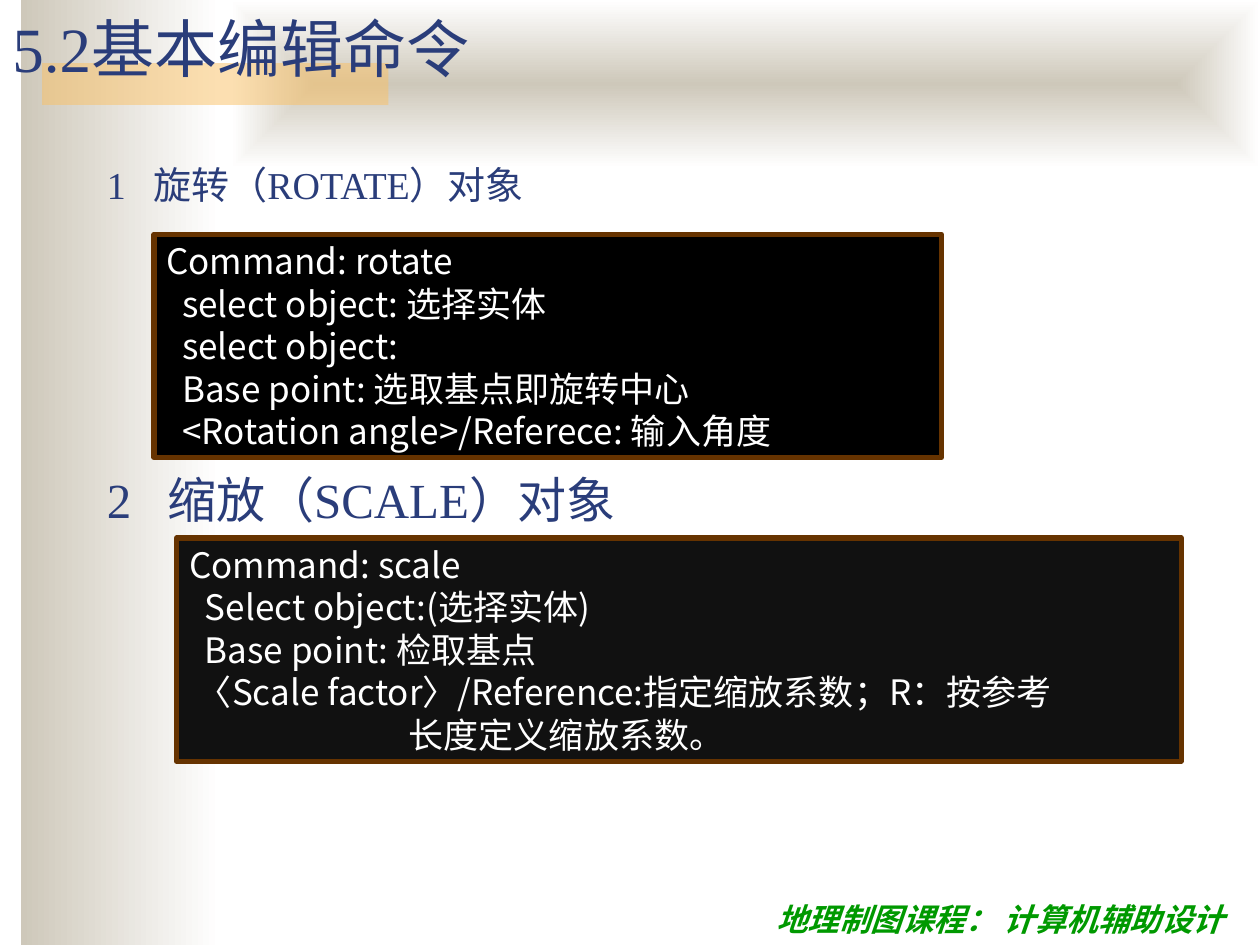
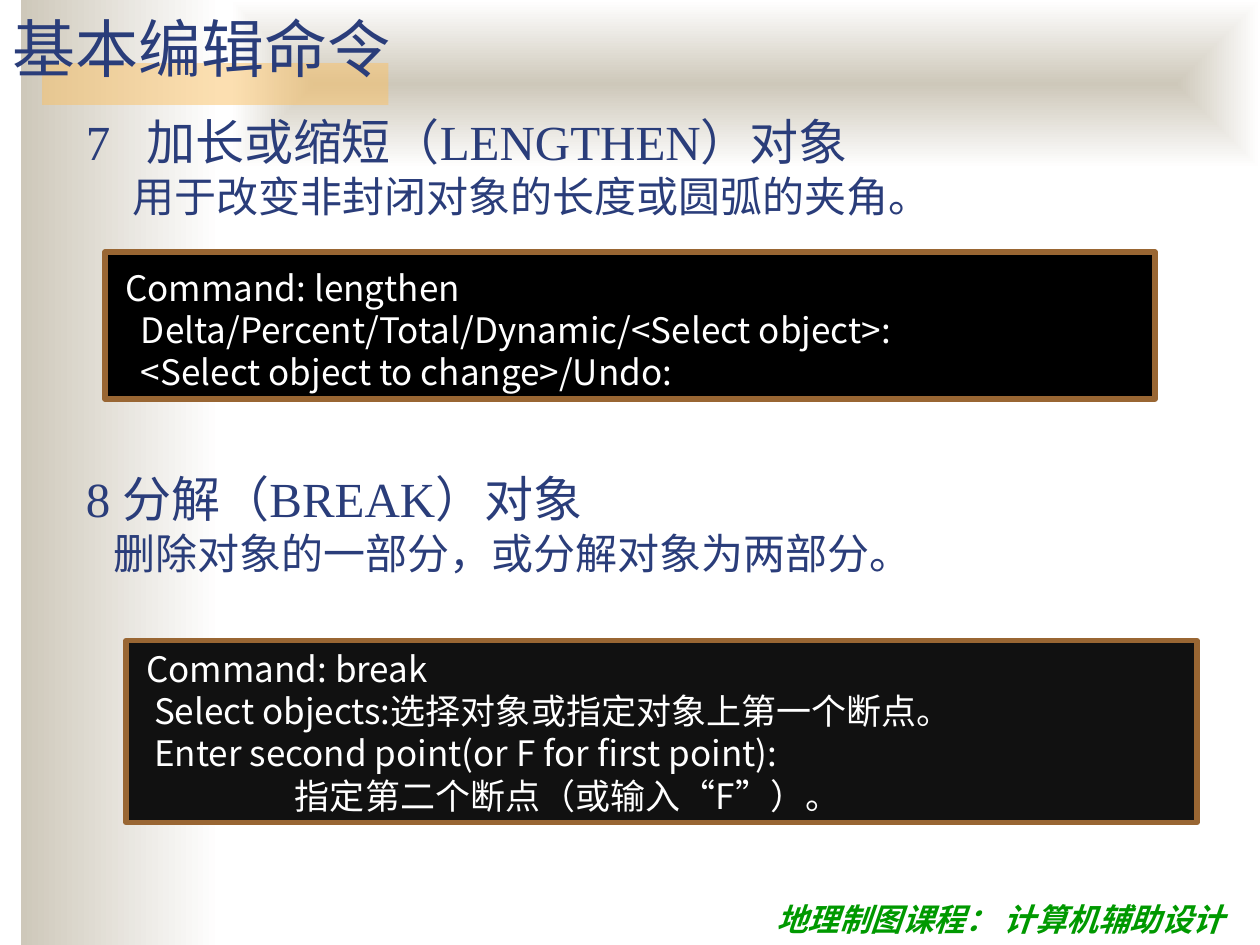
import pptx
import pptx.util
import pptx.dml.color
import pptx.enum.shapes
import pptx.enum.text
import pptx.oxml.ns
import lxml.etree
from dataclasses import dataclass

Pt = pptx.util.Pt
RGB = pptx.dml.color.RGBColor.from_string
qn = pptx.oxml.ns.qn
ANCHOR = pptx.enum.text.MSO_ANCHOR


@dataclass(frozen=True)
class Theme:
    sand: str = "CEC8BA"
    white: str = "FFFFFF"
    amber: str = "FAC164"
    navy: str = "2A3D7A"
    green: str = "009900"
    black: str = "000000"
    charcoal: str = "111111"
    dark_brown: str = "663300"
    light_brown: str = "996633"
    serif: str = "Times New Roman"
    sans: str = "Noto Sans CJK SC"
    title: float = 36
    heading: float = 28
    small_heading: float = 21.7
    detail: float = 24
    command: float = 20
    footer: float = 18


theme = Theme()


def add_block(page, place, fill=None, line=None):
    """Add a rectangle, or a plain text box when no fill is given."""
    lengths = [Pt(value) for value in place]
    if fill is None:
        box = page.shapes.add_textbox(*lengths)
    else:
        box = page.shapes.add_shape(pptx.enum.shapes.MSO_SHAPE.RECTANGLE, *lengths)
        box.shadow.inherit = False
        if fill == "gradient":
            box.fill.gradient()
            box.fill.gradient_angle = 0
            for stop, colour in zip(box.fill.gradient_stops, (theme.sand, theme.white)):
                stop.color.rgb = RGB(colour)
        else:
            box.fill.solid()
            box.fill.fore_color.rgb = RGB(fill)
        if line:
            box.line.color.rgb = RGB(line)
            box.line.width = Pt(3)
        else:
            box.line.fill.background()
    return box


def write(box, lines, font, colour, anchor=ANCHOR.TOP, pitch=None):
    """Write lines given as (text, size, left indent, tab stop)."""
    frame = box.text_frame
    frame.word_wrap = True
    frame.vertical_anchor = anchor
    for number, (text, size, indent, tab) in enumerate(lines):
        para = frame.paragraphs[0] if number == 0 else frame.add_paragraph()
        para.text = text
        para.alignment = pptx.enum.text.PP_ALIGN.LEFT
        if pitch:
            para.line_spacing = Pt(pitch)
        properties = para._p.get_or_add_pPr()
        if indent:
            properties.set("marL", str(Pt(indent)))
        if tab:
            tabs = lxml.etree.SubElement(properties, qn("a:tabLst"))
            lxml.etree.SubElement(tabs, qn("a:tab"), pos=str(Pt(tab)), algn="l")
        para.font.name = font
        para.font.size = Pt(size)
        para.font.color.rgb = RGB(colour)
    return frame


# Content: headings are (place, lines), commands are (place, fill, lines with indents)
pages = [
    {
        "title": "5.2基本编辑命令",
        "border": theme.dark_brown,
        "headings": [
            ((54, 88.5, 636, 36), [("1\t旋转（ROTATE）对象", theme.small_heading, 0, 26.5)]),
            ((54, 265, 630, 41), [("2\t缩放（SCALE）对象", theme.heading, 0, 34.5)]),
        ],
        "commands": [
            ((88, 134, 450, 127.5), theme.black, [
                ("Command: rotate", 0),
                ("  select object: 选择实体", 0),
                ("  select object:", 0),
                ("  Base point: 选取基点即旋转中心", 0),
                ("  <Rotation angle>/Referece: 输入角度", 0),
            ]),
            ((101, 307.5, 574, 127.5), theme.charcoal, [
                ("Command: scale", 0),
                ("  Select object:(选择实体)", 0),
                ("  Base point: 检取基点", 0),
                (" 〈Scale factor〉/Reference:指定缩放系数；R：按参考", 0),
                ("长度定义缩放系数。", 125.5),
            ]),
        ],
    },
    {
        "title": "基本编辑命令",
        "border": theme.light_brown,
        "headings": [
            ((42, 60, 630, 70), [
                ("7\t加长或缩短（LENGTHEN）对象", theme.heading, 0, 34.5),
                ("用于改变非封闭对象的长度或圆弧的夹角。", theme.detail, 26.5, 0),
            ]),
            ((42, 264, 630, 70), [
                ("8 分解（BREAK）对象", theme.heading, 0, 0),
                ("删除对象的一部分，或分解对象为两部分。", theme.detail, 16, 0),
            ]),
        ],
        "commands": [
            ((60, 144, 600, 84), theme.black, [
                (" Command: lengthen", 0),
                ("   Delta/Percent/Total/Dynamic/<Select object>:", 0),
                ("   <Select object to change>/Undo:", 0),
            ]),
            ((72, 366, 612, 104), theme.charcoal, [
                (" Command: break", 0),
                ("  Select objects:选择对象或指定对象上第一个断点。", 0),
                ("  Enter second point(or F for first point):", 0),
                ("指定第二个断点（或输入“F”）。", 89.5),
            ]),
        ],
    },
]

deck = pptx.Presentation()
deck.slide_width, deck.slide_height = Pt(720), Pt(540)

for content in pages:
    page = deck.slides.add_slide(deck.slide_layouts[6])

    # Side band, and top band shaded from its middle outwards
    add_block(page, (12, 0, 114, 540), "gradient")
    top_band = add_block(page, (132, 0, 588, 96), "gradient")
    gradient = top_band._element.spPr.find(qn("a:gradFill"))
    gradient.remove(gradient.find(qn("a:lin")))
    shade = lxml.etree.SubElement(gradient, qn("a:path"))
    shade.set("path", "rect")
    lxml.etree.SubElement(shade, qn("a:fillToRect"), l="50000", t="50000", r="50000", b="50000")

    # Half-transparent bar under the title
    bar = add_block(page, (24, 36, 198, 24), theme.amber)
    bar_colour = bar._element.spPr.find(qn("a:solidFill"))[0]
    lxml.etree.SubElement(bar_colour, qn("a:alpha"), val="50000")

    # Course footer
    footer = write(add_block(page, (436.5, 511, 283.5, 29)),
                   [("地理制图课程： 计算机辅助设计", theme.footer, 0, 0)],
                   theme.serif, theme.green)
    footer.paragraphs[0].font.bold = True
    footer.paragraphs[0].font.italic = True

    # Title and headings
    write(add_block(page, (0, 0, 552, 54)), [(content["title"], theme.title, 0, 0)],
          theme.serif, theme.navy, ANCHOR.MIDDLE)
    for place, lines in content["headings"]:
        write(add_block(page, place), lines, theme.serif, theme.navy)

    # Command listings
    for place, fill, lines in content["commands"]:
        box = add_block(page, place, fill, content["border"])
        # The listing sits on the lower edge, so its lines fill the box evenly
        write(box, [(text, theme.command, indent, 0) for text, indent in lines],
              theme.sans, theme.white, ANCHOR.BOTTOM, pitch=24.2)

deck.save("out.pptx")
